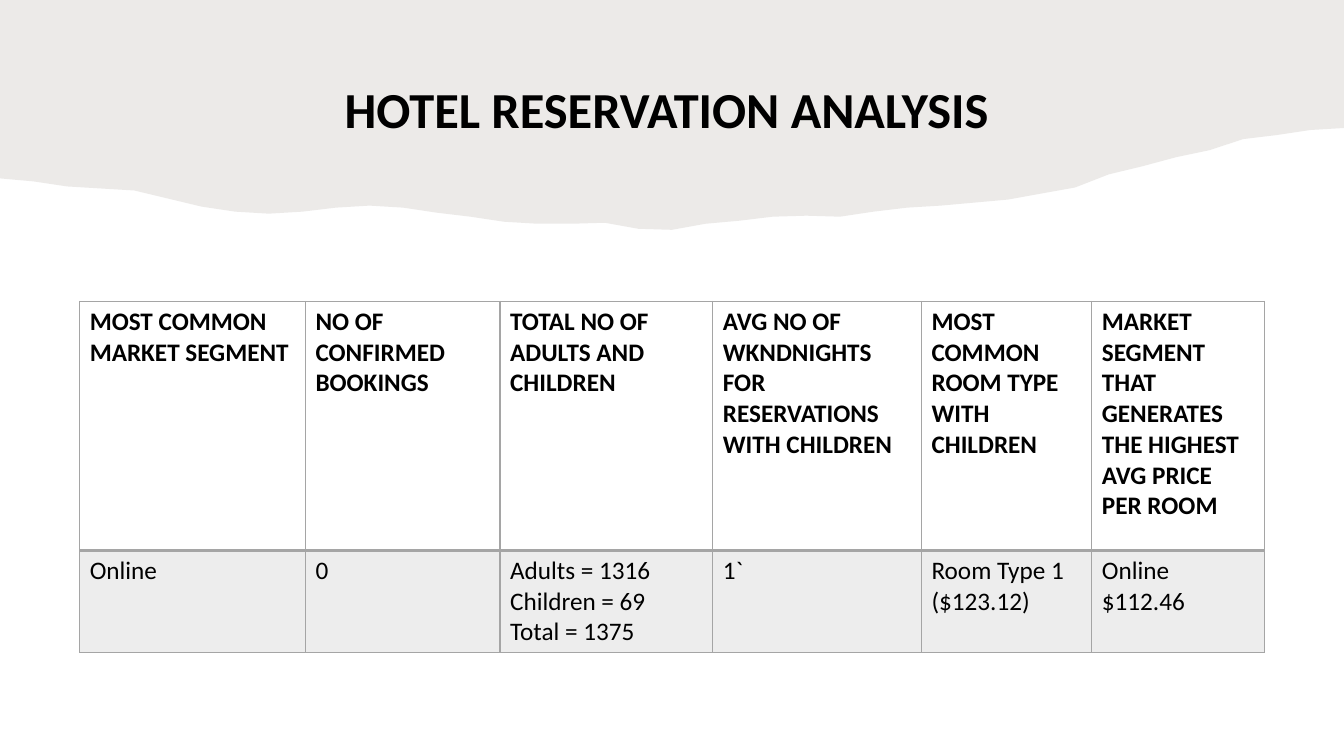
from dataclasses import dataclass

from lxml import etree
from pptx import Presentation
from pptx.dml.color import RGBColor
from pptx.enum.text import MSO_ANCHOR, MSO_AUTO_SIZE, PP_ALIGN
from pptx.oxml.ns import qn
from pptx.util import Inches, Pt

BOTTOM, CENTER, LEFT = MSO_ANCHOR.BOTTOM, PP_ALIGN.CENTER, PP_ALIGN.LEFT
NO_FIT = MSO_AUTO_SIZE.NONE
TITLE_ONLY = 5


@dataclass(frozen=True)
class Theme:
    font: str = "Calibri"
    text: str = "000000"
    paper: str = "82766A"
    paper_alpha: int = 15
    grid: str = "A5A5A5"
    body_alpha: int = 20
    title_size: int = 36
    cell_size: int = 18


@dataclass(frozen=True)
class Column:
    width: float
    heading: str
    value: str


THEME = Theme()
SLIDE_W, SLIDE_H = 13.33, 7.5
TABLE_LEFT, TABLE_TOP = 0.79, 2.99
ROW_HEIGHTS = (2.47, 1.01)

COLUMNS = (
    Column(2.24, "MOST COMMON MARKET SEGMENT", "Online"),
    Column(1.93, "NO OF CONFIRMED BOOKINGS", "0"),
    Column(2.11, "TOTAL NO OF ADULTS AND CHILDREN",
           "Adults = 1316\nChildren = 69\nTotal = 1375"),
    Column(2.07, "AVG NO OF WKNDNIGHTS FOR RESERVATIONS WITH CHILDREN", "1`"),
    Column(1.69, "MOST COMMON ROOM TYPE WITH CHILDREN", "Room Type 1 ($123.12)"),
    Column(1.71, "MARKET SEGMENT THAT GENERATES THE HIGHEST AVG PRICE PER ROOM",
           "Online $112.46"),
)

# Depth of the torn edge at equal steps from left to right
TORN_DEPTHS = (
    1.77, 1.8, 1.85, 1.87, 1.89, 1.97, 2.05, 2.1, 2.12, 2.1, 2.06, 2.04, 2.06, 2.11,
    2.15, 2.2, 2.22, 2.22, 2.21, 2.27, 2.28, 2.22, 2.19, 2.15, 2.14, 2.15, 2.1, 2.06,
    2.04, 2.01, 1.98, 1.92, 1.86, 1.73, 1.65, 1.56, 1.49, 1.38, 1.34, 1.29, 1.27,
)


def set_fill(fill, properties, color: str, alpha: int) -> None:
    """Give a translucent solid fill; properties is the XML element that holds it."""
    fill.solid()
    fill.fore_color.rgb = RGBColor.from_string(color)
    clr = properties.find(f"{qn('a:solidFill')}/{qn('a:srgbClr')}")
    etree.SubElement(clr, qn("a:alpha"), val=str(alpha * 1000))


def write(tf, text: str, *, size: int, bold: bool = False, align=LEFT,
          spacing: float = 1.0) -> None:
    """Fill a text frame with one paragraph per line of text."""
    tf.word_wrap = True
    for i, line in enumerate(text.split("\n")):
        p = tf.paragraphs[0] if i == 0 else tf.add_paragraph()
        p.alignment, p.line_spacing = align, spacing
        r = p.add_run()
        r.text = line
        r.font.name, r.font.size, r.font.bold = THEME.font, Pt(size), bold
        r.font.color.rgb = RGBColor.from_string(THEME.text)


def set_borders(cell, **widths: int) -> None:
    tc_pr = cell._tc.get_or_add_tcPr()
    for i, (side, width) in enumerate(widths.items()):
        ln = etree.Element(qn(f"a:ln{side}"), w=str(Pt(width)))
        solid = etree.SubElement(ln, qn("a:solidFill"))
        etree.SubElement(solid, qn("a:srgbClr"), val=THEME.grid)
        tc_pr.insert(i, ln)


def add_torn_band(s):
    step = SLIDE_W / (len(TORN_DEPTHS) - 1)
    edge = [(Inches(i * step), Inches(depth)) for i, depth in enumerate(TORN_DEPTHS)]
    builder = s.shapes.build_freeform(0, 0)
    builder.add_line_segments([*edge, (Inches(SLIDE_W), 0)])
    sp = builder.convert_to_shape()
    sp.shadow.inherit = False
    set_fill(sp.fill, sp.element.spPr, THEME.paper, THEME.paper_alpha)
    sp.line.fill.background()
    return sp


def add_title(s) -> None:
    title = s.shapes.title
    title.left, title.top = Inches(0.91), Inches(0.54)
    title.width, title.height = Inches(11.52), Inches(0.89)
    tf = title.text_frame
    tf.auto_size, tf.vertical_anchor = NO_FIT, BOTTOM
    write(tf, "HOTEL RESERVATION ANALYSIS ", size=THEME.title_size, bold=True,
          align=CENTER, spacing=0.9)


def add_results_table(s) -> None:
    width = sum(column.width for column in COLUMNS)
    table = s.shapes.add_table(
        len(ROW_HEIGHTS), len(COLUMNS), Inches(TABLE_LEFT), Inches(TABLE_TOP),
        Inches(width), Inches(sum(ROW_HEIGHTS))).table
    table.first_row = table.horz_banding = False
    for row, height in zip(table.rows, ROW_HEIGHTS):
        row.height = Inches(height)
    for i, column in enumerate(COLUMNS):
        table.columns[i].width = Inches(column.width)
        heading, value = table.cell(0, i), table.cell(1, i)
        write(heading.text_frame, column.heading, size=THEME.cell_size, bold=True)
        heading.fill.background()
        set_borders(heading, L=1, R=1, T=1, B=2)
        write(value.text_frame, column.value, size=THEME.cell_size)
        set_fill(value.fill, value._tc.get_or_add_tcPr(), THEME.grid, THEME.body_alpha)
        set_borders(value, L=1, R=1, T=2, B=1)


def main() -> None:
    prs = Presentation()
    prs.slide_width, prs.slide_height = Inches(SLIDE_W), Inches(SLIDE_H)
    s = prs.slides.add_slide(prs.slide_layouts[TITLE_ONLY])
    band = add_torn_band(s)
    s.shapes.title.element.addprevious(band.element)
    add_title(s)
    add_results_table(s)
    prs.save("out.pptx")


if __name__ == "__main__":
    main()
